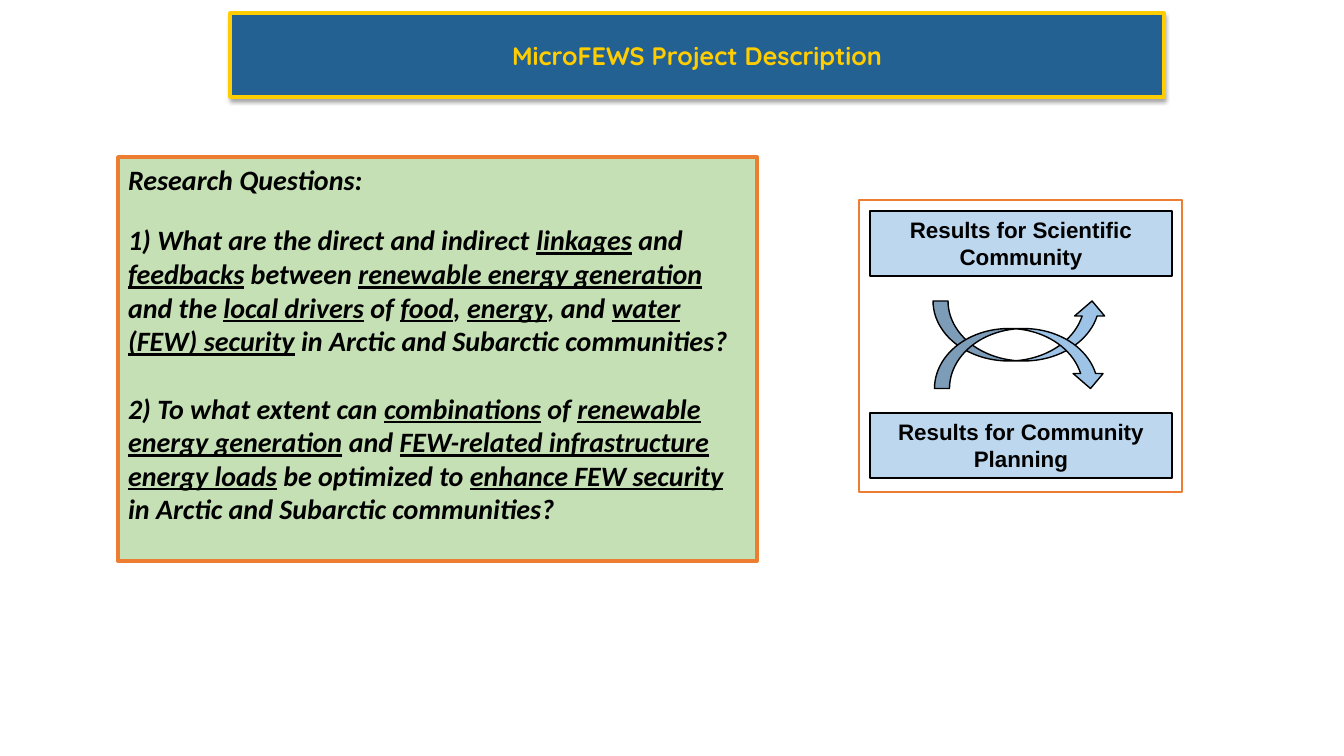
from lxml import etree
from pptx import Presentation, util as u
from pptx.dml.color import RGBColor
from pptx.enum import shapes, text
from pptx.oxml import ns

PX = 9144000 / 1008  # EMU per px, at 100.8 px to the inch

BLUE = RGBColor(0x23, 0x61, 0x92)
GOLD = RGBColor(0xFF, 0xCD, 0x00)
GREEN = RGBColor(0xC5, 0xE0, 0xB4)
ORANGE = RGBColor(0xED, 0x7D, 0x31)
PALE = RGBColor(0xBD, 0xD7, 0xEE)
SKY = RGBColor(0x9D, 0xC3, 0xE6)
BLACK = RGBColor(0, 0, 0)

# Underscores enclose underlined words; numbers are points of space before
QUERIES = [
    ("Research Questions:", 0),
    ("1) What are the direct and indirect _linkages_ and _feedbacks_ between "
     "_renewable energy generation_ and the _local drivers_ of _food_, "
     "_energy_, and _water (FEW) security_ in Arctic and Subarctic "
     "communities?", 19.5),
    ("2) To what extent can _combinations_ of _renewable energy generation_ "
     "and _FEW-related infrastructure energy loads_ be optimized to "
     "_enhance FEW security_ in Arctic and Subarctic communities?", 24),
]


def emu(px):
    return u.Emu(round(px * PX))


def sub(node, tag, **attrs):
    return etree.SubElement(node, ns.qn(tag), attrs)


class Page:
    head = "Quicksand"
    body = "Calibri"
    label = "Arial"

    def __init__(self, deck):
        self.slide = deck.slides.add_slide(deck.slide_layouts[1])

    def place(self, item, box):
        item.left, item.top, item.width, item.height = map(emu, box)

    def paint(self, item, fill, line, width):
        if fill is None:
            item.fill.background()
        else:
            item.fill.solid()
            item.fill.fore_color.rgb = fill
        item.line.color.rgb = line
        item.line.width = u.Pt(width)

    def style(self, run, name, size, color, slant=False):
        font = run.font
        font.name, font.size = name, u.Pt(size)
        font.bold, font.italic = True, slant
        font.color.rgb = color

    def caption(self, item, words, name, size, color):
        frame = item.text_frame
        frame.word_wrap = True
        frame.auto_size = text.MSO_AUTO_SIZE.NONE
        frame.vertical_anchor = text.MSO_ANCHOR.MIDDLE
        frame.text = words
        para = frame.paragraphs[0]
        para.alignment = text.PP_ALIGN.CENTER
        self.style(para.runs[0], name, size, color)

    def shape(self, kind, box, fill, line=BLACK, width=1):
        item = self.slide.shapes.add_shape(kind, *map(emu, box))
        item.shadow.inherit = False
        self.paint(item, fill, line, width)
        return item

    def title(self, words, box):
        item = self.slide.shapes.title
        self.place(item, box)
        props = item.element.spPr
        sub(sub(props, "a:prstGeom", prst="roundRect"), "a:avLst")
        self.paint(item, BLUE, GOLD, 2.25)
        glow = sub(sub(props, "a:effectLst"), "a:outerShdw", blurRad="40000",
                   dist="23000", dir="5400000", rotWithShape="0")
        tint = sub(glow, "a:srgbClr", val="000000")
        sub(tint, "a:alpha", val="35000")
        self.caption(item, words, self.head, 18, GOLD)

    def list(self, items, box):
        item = self.slide.placeholders[1]
        self.place(item, box)
        self.paint(item, GREEN, ORANGE, 2.5)
        frame = item.text_frame
        frame.word_wrap = True
        frame.auto_size = text.MSO_AUTO_SIZE.NONE
        frame.vertical_anchor = text.MSO_ANCHOR.TOP
        for i, (words, gap) in enumerate(items):
            para = frame.add_paragraph() if i else frame.paragraphs[0]
            props = para._p.get_or_add_pPr()
            props.set("marL", "0")
            props.set("indent", "0")
            sub(props, "a:buNone")
            para.space_before = u.Pt(gap)
            for n, part in enumerate(words.split("_")):
                run = para.add_run()
                run.text = part
                self.style(run, self.body, 20, BLACK, True)
                run.font.underline = n % 2 == 1

    def arrow(self, box, flip):
        item = self.shape(shapes.MSO_SHAPE.CURVED_LEFT_ARROW, box, SKY)
        item.rotation = 270
        if flip:
            item.element.spPr.xfrm.set("flipH", "1")

    def card(self, words, box):
        item = self.shape(shapes.MSO_SHAPE.RECTANGLE, box, PALE)
        self.caption(item, words, self.label, 16, BLACK)


def main():
    deck = Presentation()
    deck.slide_width, deck.slide_height = emu(1344), emu(756)
    page = Page(deck)

    # Heading and research questions
    page.title("MicroFEWS Project Description", (230, 13, 934, 84))
    page.list(QUERIES, (118, 157, 639, 404))

    # Crossing arrows between the two results
    page.arrow((990, 244, 60, 174), True)
    page.arrow((990, 273, 60, 171), False)

    # Results and their frame
    for goal, top in (("Scientific Community", 211),
                      ("Community Planning", 413)):
        page.card("Results for " + goal, (870, top, 302, 65))
    page.shape(shapes.MSO_SHAPE.RECTANGLE, (859, 200, 323, 292),
               None, ORANGE, 2)

    deck.save("out.pptx")


if __name__ == "__main__":
    main()
